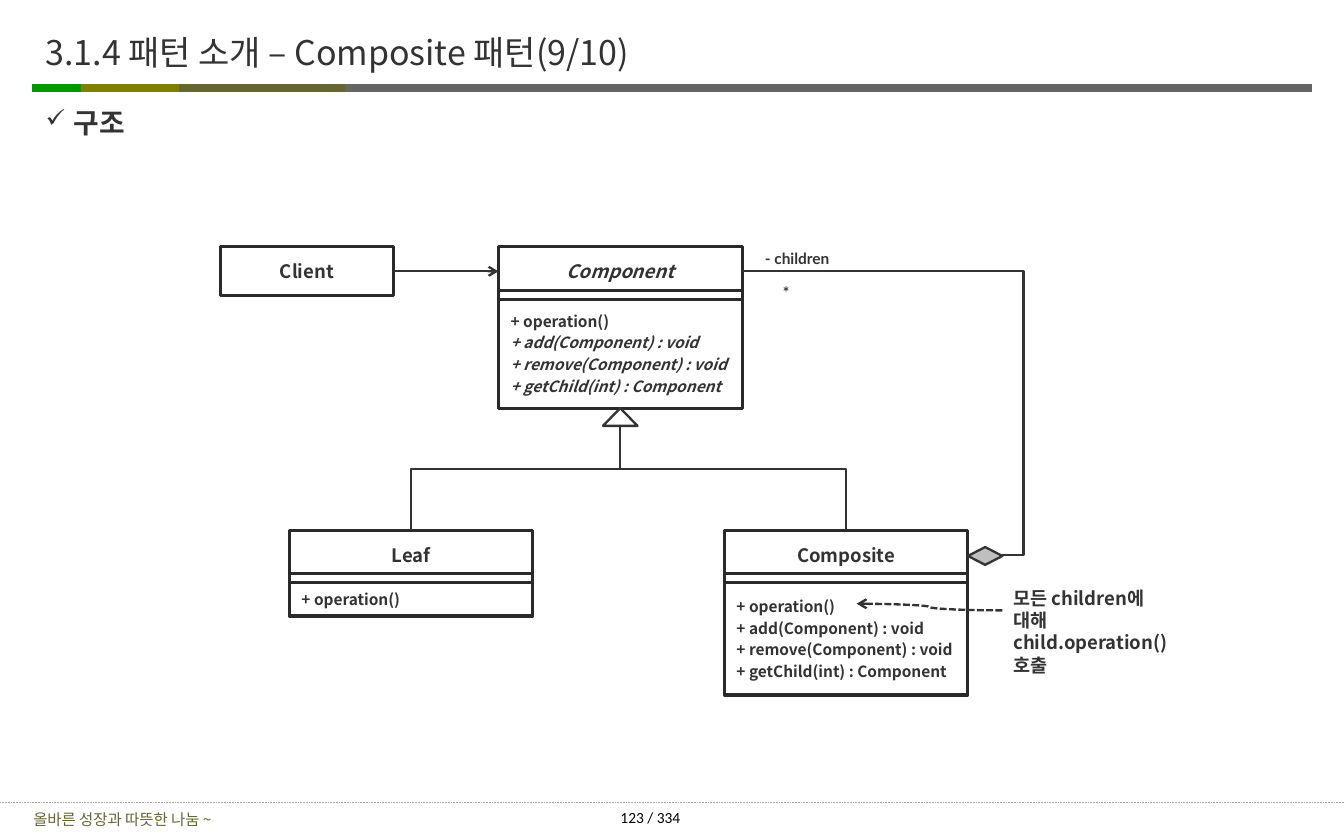
from lxml import etree
from pptx import Presentation
from pptx.dml.color import RGBColor
from pptx.enum.dml import MSO_LINE
from pptx.enum.shapes import MSO_CONNECTOR, MSO_SHAPE
from pptx.enum.text import MSO_ANCHOR, PP_ALIGN
from pptx.oxml.ns import qn
from pptx.util import Inches, Pt

STRAIGHT, ELBOW, CURVE = MSO_CONNECTOR.STRAIGHT, MSO_CONNECTOR.ELBOW, MSO_CONNECTOR.CURVE
RECT, TRIANGLE, DIAMOND = MSO_SHAPE.RECTANGLE, MSO_SHAPE.ISOSCELES_TRIANGLE, MSO_SHAPE.DIAMOND
TOP, MIDDLE = MSO_ANCHOR.TOP, MSO_ANCHOR.MIDDLE
LEFT, CENTER = PP_ALIGN.LEFT, PP_ALIGN.CENTER
DOT, DASH = MSO_LINE.ROUND_DOT, MSO_LINE.SQUARE_DOT

WIDE, HIGH = 12.08, 7.5
SANS, INK, EDGE, WHITE = "Noto Sans CJK KR", "333333", "2A2A2A", "FFFFFF"
HEAD, STRIP = 0.44, 0.09    # class name bar and the empty attribute bar


def color(code):
    return RGBColor.from_string(code)


def child(node, tag, **attrs):
    return etree.SubElement(node, qn(tag), attrs)


def write(shape, rows, size, hue=INK, face=SANS, bold=True, align=LEFT,
          anchor=MIDDLE, pad=(0.1, 0.05, 0.1, 0.05)):
    """Fill a shape with rows of (text, italic)."""
    frame = shape.text_frame
    left, top, right, base = map(Inches, pad)
    look = {"word_wrap": True, "vertical_anchor": anchor, "margin_left": left,
            "margin_top": top, "margin_right": right, "margin_bottom": base}
    for key, value in look.items():
        setattr(frame, key, value)
    for i, (text, slant) in enumerate(rows):
        para = frame.add_paragraph() if i else frame.paragraphs[0]
        para.alignment = align
        para.space_before = Pt(2 if i else 0)
        run = para.add_run()
        run.text = text
        style = {"name": face, "size": Pt(size), "bold": bold, "italic": slant}
        for key, value in style.items():
            setattr(run.font, key, value)
        run.font.color.rgb = color(hue)
        child(run.font._element, "a:ea", typeface=face)
    return frame


def label(slide, box, text, size, **style):
    area = slide.shapes.add_textbox(*map(Inches, box))
    return write(area, [(text, False)], size, **style)


def block(slide, kind, box, fill=WHITE, edge=EDGE, weight=2):
    shape = slide.shapes.add_shape(kind, *map(Inches, box))
    shape.shadow.inherit = False
    shape.fill.solid()
    shape.fill.fore_color.rgb = color(fill)
    shape.line.color.rgb = color(edge)
    shape.line.width = Pt(weight)
    return shape


def link(slide, kind, start, end, hue=INK, weight=1.5, dash=None, arrow=False):
    wire = slide.shapes.add_connector(kind, *map(Inches, (*start, *end)))
    wire.line.color.rgb = color(hue)
    wire.line.width = Pt(weight)
    if dash:
        wire.line.dash_style = dash
    if arrow:
        child(wire.line._get_or_add_ln(), "a:tailEnd", type="arrow")
    child(wire._element.spPr, "a:effectLst")
    return wire


def climb(slide, start, end):
    """Elbow that leaves and arrives upright: a level elbow turned by 90 degrees."""
    midx, midy = (start[0] + end[0]) / 2, (start[1] + end[1]) / 2
    dx, dy = start[0] - midx, start[1] - midy
    wire = link(slide, ELBOW, (midx + dy, midy - dx), (midx - dy, midy + dx))
    wire._element.spPr.find(qn("a:xfrm")).set("rot", "5400000")


def entry(slide, box, name, rows=(), slant=False):
    """Class box: name bar, and with rows also a strip and a member list."""
    x, y, w, h = box
    title = block(slide, RECT, (x, y, w, HEAD))
    write(title, [(name, slant)], 12, align=CENTER)
    if rows:
        block(slide, RECT, (x, y + HEAD - 0.05, w, STRIP))
        top = HEAD + 0.03
        body = block(slide, RECT, (x, y + top, w, h - top))
        write(body, rows, 10, pad=(0.11, 0.05, 0, 0.05))
    return title


def header(slide, box):
    x, y, w, h = box
    # Title and coloured rule
    label(slide, (x + 0.08, y, 10, 0.63), "3.1.4 패턴 소개 – Composite 패턴(9/10)", 22,
          bold=False, pad=(0.04,) * 4)
    rule = y + 0.64
    for left, right, hue in ((2.69, w, "666666"), (0, 0.8, "009900"),
                             (0.44, 1.37, "808000"), (1.32, 2.81, "666633")):
        link(slide, STRAIGHT, (x + left, rule), (x + right, rule), hue, 5)
    # Section heading with check mark
    frame = label(slide, (x + 0.08, y + 0.76, w, h - 0.76), "구조", 18,
                  anchor=TOP, pad=(0.04,) * 4)
    props = frame.paragraphs[0]._p.get_or_add_pPr()
    props.set("marL", str(Inches(0.25)))
    props.set("indent", str(-Inches(0.25)))
    child(child(props, "a:buClr"), "a:srgbClr", val=INK)
    child(props, "a:buSzPct", val="90000")
    child(props, "a:buChar", char="✓")


def diagram(slide, box):
    x, y, w, h = box
    wide, low = 2.19, y + 2.55
    mid, port = wide / 2, HEAD / 2
    root, leaf, comp = x + 2.5, x + 0.62, x + 4.53
    foot = y + 1.45
    calls = ["+ operation()", "+ add(Component) : void",
             "+ remove(Component) : void", "+ getChild(int) : Component"]

    # Classes
    client = entry(slide, (x, y, 1.56, HEAD), "Client")
    base = entry(slide, (root, y, wide, 1.45), "Component",
                 [(call, i > 0) for i, call in enumerate(calls)], slant=True)
    entry(slide, (leaf, low, wide, 0.77), "Leaf", [(calls[0], False)])
    entry(slide, (comp, low, wide, 1.48), "Composite", [(call, False) for call in calls])

    # Client uses Component
    use = link(slide, STRAIGHT, (x + 1.56, y + port), (root, y + port), arrow=True)
    use.begin_connect(client, 3)
    use.end_connect(base, 1)

    # Inheritance
    for sub in (leaf, comp):
        climb(slide, (sub + mid, low), (root + mid, foot))
    block(slide, TRIANGLE, (root + mid - 0.155, foot, 0.31, 0.16), edge=INK, weight=1.5)

    # Composite holds children
    side = comp + wide
    loop = link(slide, ELBOW, (side, low + port), (root + wide, y + port))
    guides = loop._element.spPr.find(qn("a:prstGeom")).find(qn("a:avLst"))
    child(guides, "a:gd", name="adj1", fmla="val -24600")
    block(slide, DIAMOND, (side, low + 0.15, 0.31, 0.16), "BFBFBF", INK, 1.5)
    tag = root + wide
    label(slide, (tag + 0.06, y - 0.03, 0.87, 0.27), "- children", 10, face="Lato",
          align=CENTER, anchor=TOP, pad=(0, 0.05, 0, 0.05))
    label(slide, (tag + 0.25, y + 0.28, 0.29, 0.27), "*", 10, face="Lato",
          align=CENTER, anchor=TOP)

    # Note on operation()
    note = side + 0.31
    link(slide, CURVE, (note, low + 0.72), (comp + 1.19, low + 0.66), dash=DASH, arrow=True)
    label(slide, (note, low + 0.46, x + w - note, 0.9),
          "모든 children에 대해 child.operation() 호출", 12, anchor=TOP)


def footer(slide, box):
    x, y, w, h = box
    link(slide, STRAIGHT, (x, y), (x + w, y), "A6A6A6", 0.5, DOT)
    label(slide, (x, y + 0.02, 2.2, 0.26), "올바른 성장과 따뜻한 나눔 ~", 10,
          hue="666633", bold=False, align=CENTER)
    label(slide, (x + 5.25, y, 1.19, 0.27), "123 / 334", 10, hue="000000",
          face="Calibri", bold=False, align=CENTER, anchor=TOP)


def main():
    deck = Presentation()
    deck.slide_width, deck.slide_height = Inches(WIDE), Inches(HIGH)
    slide = deck.slides.add_slide(deck.slide_layouts[6])
    footer(slide, (0, 7.22, WIDE, 0.28))
    header(slide, (0.29, 0.15, 11.5, 1.2))
    diagram(slide, (1.98, 2.22, 8.67, 4.03))
    deck.save("out.pptx")


if __name__ == "__main__":
    main()
